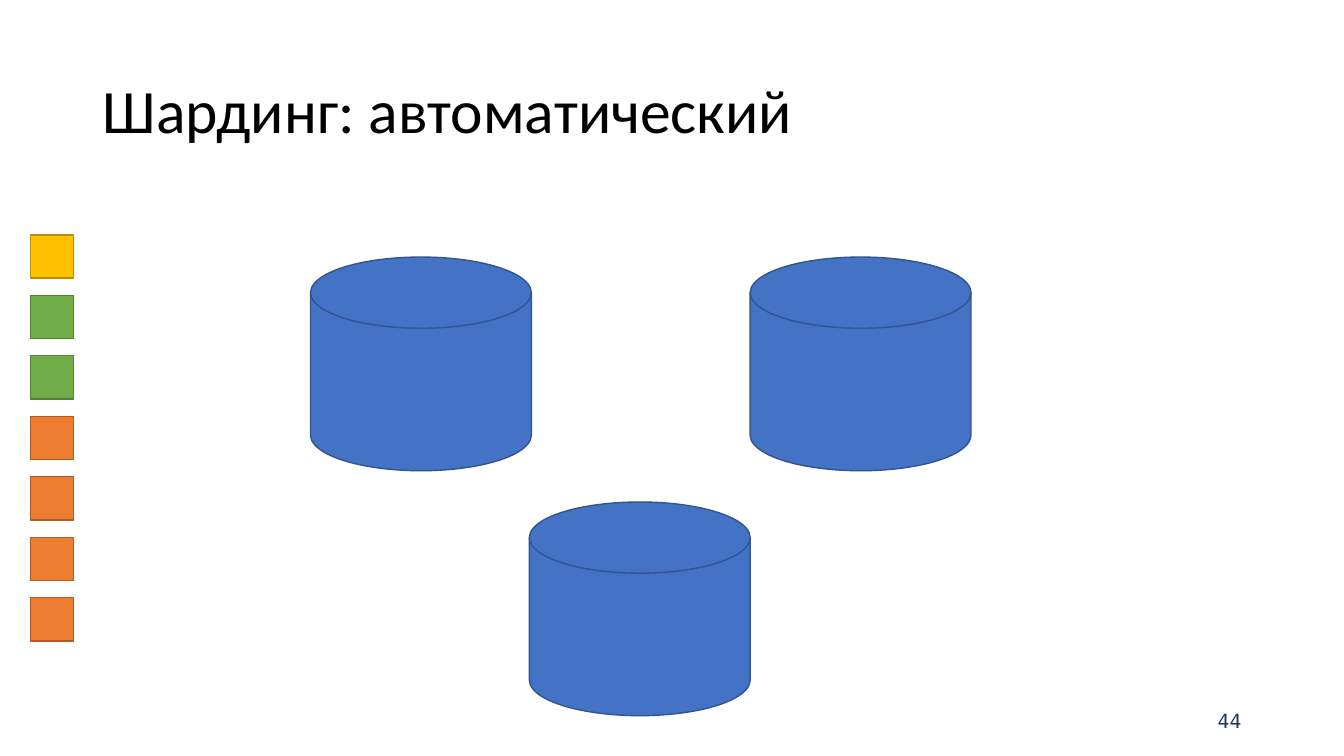
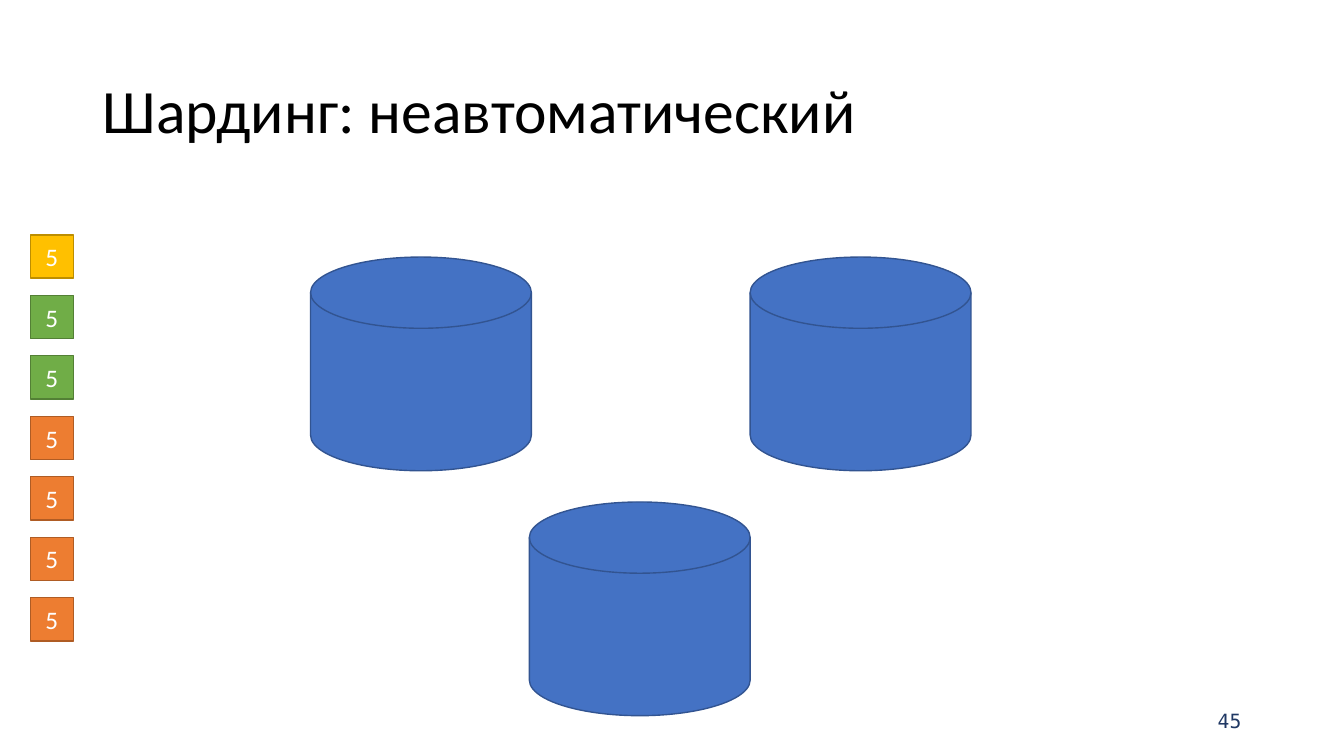
from dataclasses import dataclass

from pptx import Presentation
from pptx.dml.color import RGBColor
from pptx.enum.shapes import MSO_SHAPE
from pptx.enum.text import MSO_ANCHOR, PP_ALIGN
from pptx.util import Inches, Pt


@dataclass(frozen=True)
class Paint:
    fill: str
    line: str


@dataclass(frozen=True)
class Box:
    left: float
    top: float
    width: float
    height: float

    def lengths(self):
        return [Inches(n) for n in (self.left, self.top, self.width, self.height)]


@dataclass(frozen=True)
class TextStyle:
    font: str
    size: int
    color: str
    align: PP_ALIGN
    line_spacing: float = 1.0


@dataclass(frozen=True)
class ShardingSlide:
    title: str
    number: int
    record_label: str = ""


# Shared look
BLUE = Paint("4472C4", "325491")
YELLOW = Paint("FFC000", "BD8E00")
GREEN = Paint("70AD47", "538035")
ORANGE = Paint("ED7D31", "AF5C24")

TITLE_STYLE = TextStyle("Calibri", 44, "000000", PP_ALIGN.LEFT, 0.9)
NUMBER_STYLE = TextStyle("DejaVu Sans Mono", 14, "203864", PP_ALIGN.RIGHT)
RECORD_STYLE = TextStyle("Calibri", 18, "FFFFFF", PP_ALIGN.CENTER)

TITLE_BOX = Box(0.92, 0.4, 11.5, 1.45)
NUMBER_BOX = Box(9.42, 6.95, 2.99, 0.4)

# Database cylinders and the column of records
DATABASE_SIZE = (2.19, 2.12)
DATABASE_CORNERS = [(3.08, 2.55), (7.44, 2.55), (5.25, 4.98)]
RECORD_LEFT, RECORD_TOP, RECORD_SIDE, RECORD_STEP = 0.3, 2.33, 0.43, 0.6
RECORD_PAINTS = [YELLOW] + [GREEN] * 2 + [ORANGE] * 4

SLIDES = [
    ShardingSlide("Шардинг: автоматический", 44),
    ShardingSlide("Шардинг: неавтоматический", 45, record_label="5"),
]


def rgb(color: str) -> RGBColor:
    return RGBColor.from_string(color)


def set_attributes(target, values: dict) -> None:
    for name, value in values.items():
        setattr(target, name, value)


def write_text(shape, text: str, style: TextStyle) -> None:
    frame = shape.text_frame
    set_attributes(frame, {"word_wrap": True, "vertical_anchor": MSO_ANCHOR.MIDDLE})
    paragraph = frame.paragraphs[0]
    set_attributes(paragraph, {"alignment": style.align, "line_spacing": style.line_spacing})
    run = paragraph.add_run()
    run.text = text
    set_attributes(run.font, {"name": style.font, "size": Pt(style.size)})
    run.font.color.rgb = rgb(style.color)


def add_text(slide, box: Box, text: str, style: TextStyle) -> None:
    write_text(slide.shapes.add_textbox(*box.lengths()), text, style)


def add_painted_shape(slide, kind: MSO_SHAPE, box: Box, paint: Paint):
    shape = slide.shapes.add_shape(kind, *box.lengths())
    shape.shadow.inherit = False
    shape.fill.solid()
    shape.fill.fore_color.rgb = rgb(paint.fill)
    shape.line.color.rgb = rgb(paint.line)
    shape.line.width = Pt(1)
    return shape


def add_databases(slide) -> None:
    for corner in DATABASE_CORNERS:
        box = Box(*corner, *DATABASE_SIZE)
        add_painted_shape(slide, MSO_SHAPE.FLOWCHART_MAGNETIC_DISK, box, BLUE)


def add_records(slide, label: str) -> None:
    for index, paint in enumerate(RECORD_PAINTS):
        top = RECORD_TOP + index * RECORD_STEP
        box = Box(RECORD_LEFT, top, RECORD_SIDE, RECORD_SIDE)
        record = add_painted_shape(slide, MSO_SHAPE.RECTANGLE, box, paint)
        if label:
            write_text(record, label, RECORD_STYLE)


def add_sharding_slide(presentation, content: ShardingSlide) -> None:
    slide = presentation.slides.add_slide(presentation.slide_layouts[6])
    add_text(slide, TITLE_BOX, content.title, TITLE_STYLE)
    add_text(slide, NUMBER_BOX, str(content.number), NUMBER_STYLE)
    add_databases(slide)
    add_records(slide, content.record_label)


def main() -> None:
    presentation = Presentation()
    set_attributes(presentation, {"slide_width": Inches(13.33), "slide_height": Inches(7.5)})
    for content in SLIDES:
        add_sharding_slide(presentation, content)
    presentation.save("out.pptx")


if __name__ == "__main__":
    main()
